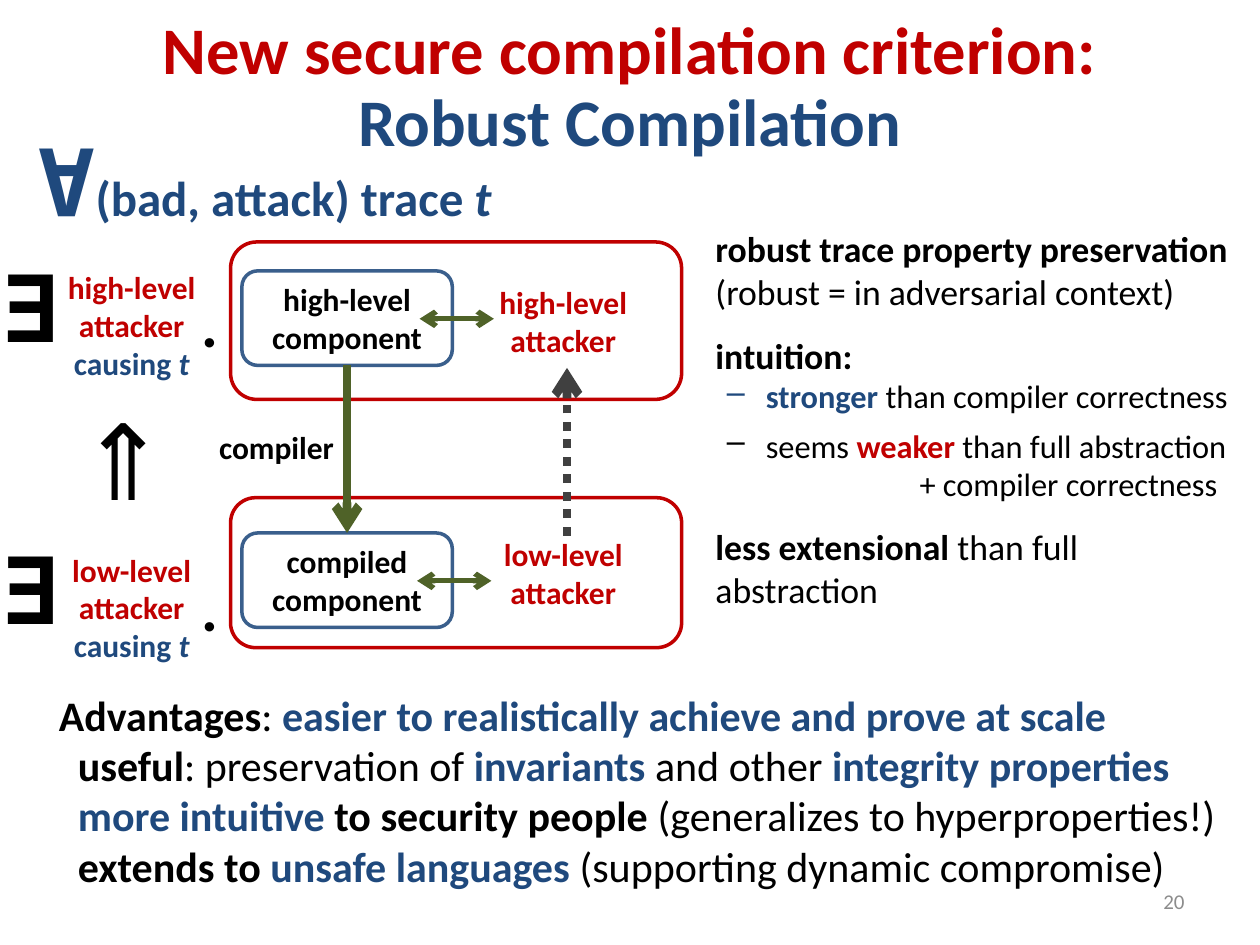
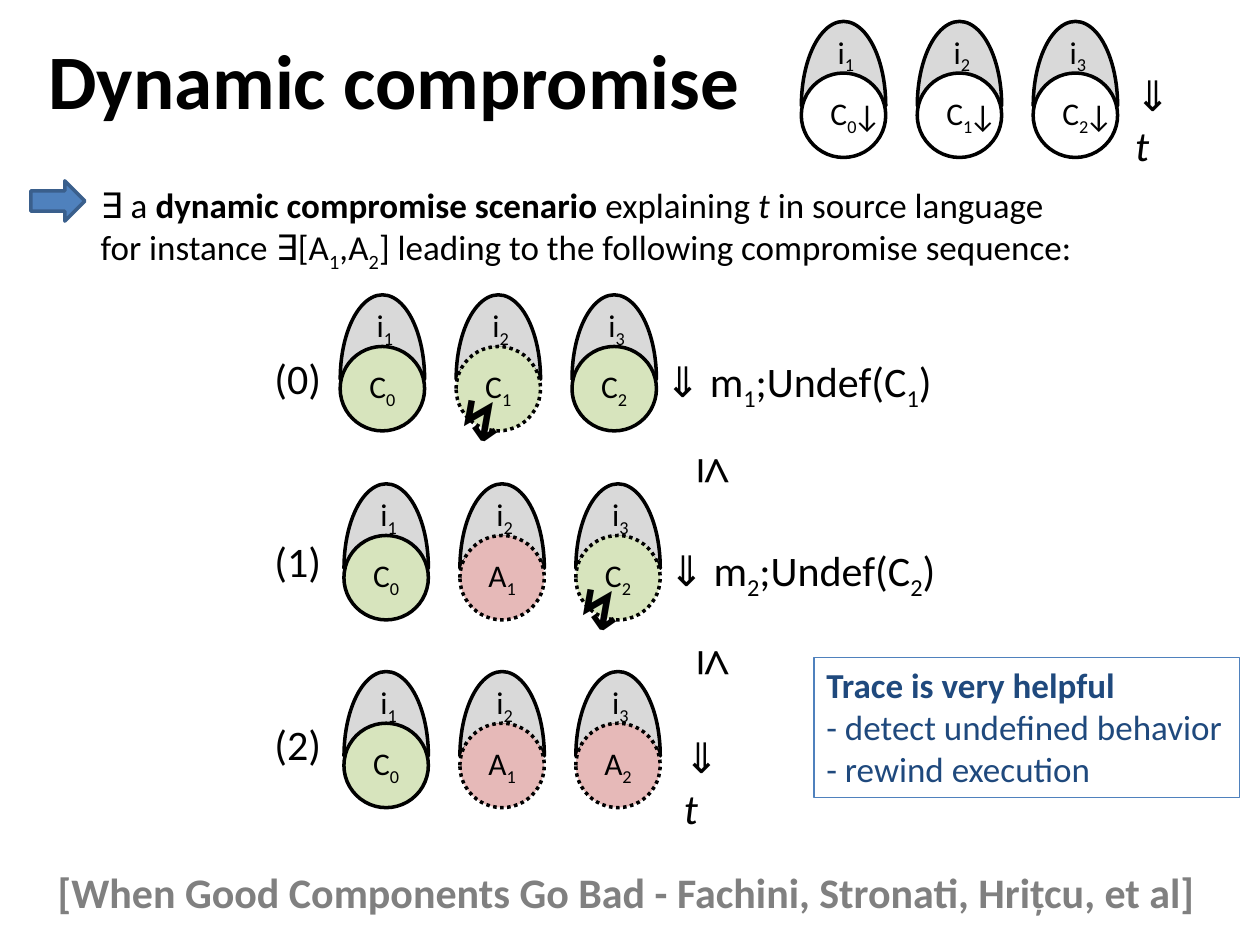
from dataclasses import dataclass

from lxml.etree import SubElement
from pptx import Presentation
from pptx.dml.color import RGBColor
from pptx.enum.dml import MSO_LINE
from pptx.enum.shapes import MSO_CONNECTOR, MSO_SHAPE
from pptx.enum.text import MSO_ANCHOR, MSO_AUTO_SIZE, PP_ALIGN
from pptx.oxml.ns import qn
from pptx.util import Inches, Pt

COLORS = {
    "black": "000000", "white": "FFFFFF", "red": "C00000", "navy": "1F497D",
    "outline": "3A5F8C", "blue": "4F81BD", "olive": "4F6228", "charcoal": "404040",
    "gray": "808080", "number": "8C8C8C", "interface": "D9D9D9",
    "good": "D7E4BD", "compromised": "E6B9B8",
}
FONT = "Calibri"
SYMBOL_FONT = "Noto Sans Mono"
LEFT, CENTER, RIGHT = PP_ALIGN.LEFT, PP_ALIGN.CENTER, PP_ALIGN.RIGHT


@dataclass(frozen=True)
class Box:
    left: float
    top: float
    width: float
    height: float

    def lengths(self):
        return [Inches(v) for v in (self.left, self.top, self.width, self.height)]


@dataclass(frozen=True)
class Run:
    """A piece of text; None takes the format of the whole text."""
    text: str
    color: str | None = None
    bold: bool | None = None
    italic: bool = False
    size: float | None = None
    font: str | None = None
    subscript: bool = False


@dataclass(frozen=True)
class Line:
    runs: tuple
    before: float = 0
    margin: float = 0
    indent: float = 0
    bullet: str | None = None


@dataclass(frozen=True)
class Component:
    letter: str
    index: int
    fill: str
    dotted: bool = False


@dataclass(frozen=True)
class Step:
    """One row of the compromise sequence."""
    left: float
    top: float
    components: tuple
    broken: int | None = None


TRACE = Run("t", italic=True)


def line(*runs: str | Run, **layout) -> Line:
    return Line(tuple(Run(r) if isinstance(r, str) else r for r in runs), **layout)


def indexed(letter: str, index: int) -> tuple[Run, Run]:
    return Run(letter), Run(str(index), subscript=True)


def rgb(name: str) -> RGBColor:
    return RGBColor.from_string(COLORS[name])


def write(shape, *lines: str | Line, size: float = 18, color: str = "black",
          bold: bool = False, font: str = FONT, align=LEFT, anchor=MSO_ANCHOR.TOP,
          wrap: bool = False, grow: bool = False, spacing: float | None = None,
          inset_left: float = 0.1) -> None:
    frame = shape.text_frame
    frame.word_wrap = wrap
    frame.vertical_anchor = anchor
    frame.margin_left = Inches(inset_left)
    frame.auto_size = MSO_AUTO_SIZE.SHAPE_TO_FIT_TEXT if grow else MSO_AUTO_SIZE.NONE
    for number, item in enumerate(lines):
        content = line(item) if isinstance(item, str) else item
        paragraph = frame.paragraphs[0] if number == 0 else frame.add_paragraph()
        paragraph.alignment = align
        paragraph.space_before = Pt(content.before)
        if spacing:
            paragraph.line_spacing = spacing
        properties = paragraph._p.get_or_add_pPr()
        properties.set("marL", str(Inches(content.margin)))
        properties.set("indent", str(Inches(content.indent)))
        if content.bullet:
            SubElement(properties, qn("a:buChar")).set("char", content.bullet)
        for part in content.runs:
            run = paragraph.add_run()
            run.text = part.text
            run.font.size = Pt(part.size or size)
            run.font.bold = bold if part.bold is None else part.bold
            run.font.italic = part.italic
            run.font.color.rgb = rgb(part.color or color)
            run.font.name = part.font or font
            run_properties = run._r.get_or_add_rPr()
            if run.font.name == SYMBOL_FONT:
                SubElement(run_properties, qn("a:ea")).set("typeface", SYMBOL_FONT)
            if part.subscript:
                run_properties.set("baseline", "-25000")


def add_text(shapes, box: Box, *lines: str | Line, rotation: float = 0, **text_format):
    shape = shapes.add_textbox(*box.lengths())
    shape.rotation = rotation
    write(shape, *lines, **{"grow": True, **text_format})
    return shape


def add_title(shapes, box: Box, *lines: str | Line, **text_format) -> None:
    add_text(shapes, box, *lines, bold=True, align=CENTER, anchor=MSO_ANCHOR.MIDDLE,
             wrap=True, grow=False, **text_format)


def add_shape(shapes, kind, box: Box, fill: str | None, outline: str,
              width: float = 2, dotted: bool = False, rotation: float = 0):
    shape = shapes.add_shape(kind, *box.lengths())
    shape.shadow.inherit = False
    shape.rotation = rotation
    if fill:
        shape.fill.solid()
        shape.fill.fore_color.rgb = rgb(fill)
    else:
        shape.fill.background()
    shape.line.color.rgb = rgb(outline)
    shape.line.width = Pt(width)
    if dotted:
        shape.line.dash_style = MSO_LINE.ROUND_DOT
    return shape


def add_arrow(shapes, start: tuple[float, float], end: tuple[float, float],
              color: str, width: float, both: bool = False, dotted: bool = False):
    connector = shapes.add_connector(
        MSO_CONNECTOR.STRAIGHT, *[Inches(v) for v in (*start, *end)])
    connector.line.color.rgb = rgb(color)
    connector.line.width = Pt(width)
    if dotted:
        connector.line.dash_style = MSO_LINE.ROUND_DOT
    properties = connector._element.spPr
    outline = properties.find(qn("a:ln"))
    for tag in ("a:headEnd", "a:tailEnd") if both else ("a:tailEnd",):
        SubElement(outline, qn(tag)).set("type", "arrow")
    SubElement(properties, qn("a:effectLst"))
    return connector


def add_level(shapes, level: str, frame: Box, component_top: float,
              component_lines: tuple[str, str], arrow_left: float):
    """Draw a component linked with its attacker; return the component."""
    middle = MSO_ANCHOR.MIDDLE
    outer = add_shape(shapes, MSO_SHAPE.ROUNDED_RECTANGLE, frame, "white", "red")
    write(outer, f"{level}-level", "attacker", color="red", bold=True,
          align=CENTER, anchor=middle, wrap=True, inset_left=1.8)
    component = add_shape(shapes, MSO_SHAPE.ROUNDED_RECTANGLE,
                          Box(1.92, component_top, 1.67, 0.75), "white", "outline")
    write(component, *component_lines, bold=True, align=CENTER, anchor=middle, wrap=True)
    arrow_top = component_top + 0.38
    add_arrow(shapes, (arrow_left, arrow_top), (arrow_left + 0.59, arrow_top),
              "olive", 3, both=True)
    return component


def add_exists(shapes, level: str, top: float, dot_top: float) -> None:
    add_text(shapes, Box(0.37, top + 0.16, 1.35, 1.01), f"{level}-level", "attacker",
             line(Run("causing ", "navy"), Run("t", "navy", italic=True)),
             color="red", bold=True, align=CENTER, wrap=True)
    add_text(shapes, Box(-0.08, top, 0.66, 1.01), "∃", size=54, bold=True, font=SYMBOL_FONT)
    add_text(shapes, Box(1.5, dot_top, 0.34, 0.71), ".", size=36, bold=True)


def build_robust_compilation(slide) -> None:
    shapes = slide.shapes
    add_title(shapes, Box(0.5, 0.08, 9, 1.25), "New secure compilation criterion:",
              line(Run("Robust Compilation", "navy")), size=38, color="red", spacing=0.9)

    dash = {"margin": 0.4, "indent": -0.31, "bullet": "–"}
    small = 18.5
    add_text(
        shapes, Box(5.58, 1.75, 4.42, 3.42),
        line(Run("robust trace property preservation", bold=True)),
        "(robust = in adversarial context)",
        line(Run("intuition:", bold=True), before=12),
        line(Run("stronger ", "navy", True, size=small),
             Run("than compiler correctness", size=small), **dash),
        line(Run("seems ", size=small), Run("weaker ", "red", True, size=small),
             Run("than full abstraction", size=small), before=6, **dash),
        line(Run("+ compiler correctness", size=small), margin=1.62),
        line(Run("less extensional", bold=True), " than full abstraction", before=12),
        size=20.4, wrap=True, grow=False)
    add_text(shapes, Box(7.17, 6.95, 2.33, 0.4), "20", size=12, color="number",
             align=RIGHT, anchor=MSO_ANCHOR.MIDDLE, wrap=True, grow=False)

    source = add_level(shapes, "high", Box(1.83, 1.92, 3.58, 1.25), 2.15,
                       ("high-level", "component"), 3.33)
    target = add_level(shapes, "low", Box(1.83, 3.95, 3.58, 1.19), 4.23,
                       ("compiled", "component"), 3.31)
    add_exists(shapes, "high", 1.92, 2.21)
    add_exists(shapes, "low", 4.16, 4.46)

    compiler = add_arrow(shapes, (2.75, 2.9), (2.75, 4.23), "olive", 5)
    compiler.begin_connect(source, 2)
    compiler.end_connect(target, 0)
    add_text(shapes, Box(1.63, 3.35, 1.12, 0.4), "compiler", bold=True, align=RIGHT)
    add_arrow(shapes, (4.5, 4.25), (4.5, 2.92), "charcoal", 5, dotted=True)

    add_text(shapes, Box(0.21, 0.92, 3.85, 1.01),
             line(Run("∀", size=54, font=SYMBOL_FONT), "(bad, attack) trace ", TRACE),
             size=28, color="navy", bold=True)

    def strong(text: str, color: str = "black") -> Run:
        return Run(text, color, True)

    add_text(
        shapes, Box(0.37, 5.42, 9.46, 1.72),
        line(strong("Advantages"), ": ",
             strong("easier to realistically achieve and prove at scale", "navy")),
        line(strong("useful"), ": preservation of ", strong("invariants ", "navy"),
             "and other ", strong("integrity properties", "navy"), margin=0.15),
        line(strong("more intuitive ", "navy"), strong("to security people"),
             " (generalizes to hyperproperties!)", margin=0.15),
        line(strong("extends to "), strong("unsafe languages", "navy"),
             " (supporting dynamic compromise)", margin=0.15),
        size=24)
    add_text(shapes, Box(0.45, 3.1, 0.93, 1.11), "⇒", size=60, rotation=270)


PITCH = 0.92
DIAMETER = 0.67


def add_components(shapes, left: float, top: float, components: tuple) -> None:
    """Group a row of components, each below its interface."""
    group = shapes.add_group_shape().shapes
    for position, component in enumerate(components):
        x = left + position * PITCH
        moon = add_shape(group, MSO_SHAPE.MOON, Box(x, top, DIAMETER, DIAMETER),
                         "interface", "black", rotation=90)
        moon.adjustments[0] = 0.632
        add_text(group, Box(x + 0.19, top + 0.04, 0.35, 0.4),
                 line(*indexed("i", position + 1)))
        circle = add_shape(group, MSO_SHAPE.OVAL, Box(x, top + 0.41, DIAMETER, DIAMETER),
                           component.fill, "black", dotted=component.dotted)
        write(circle, line(*indexed(component.letter, component.index)),
              align=CENTER, anchor=MSO_ANCHOR.MIDDLE, wrap=True)


def add_trace_result(shapes, left: float, top: float) -> None:
    add_text(shapes, Box(left, top, 0.59, 0.9), "⇓", line(TRACE), size=24, wrap=True)


def build_dynamic_compromise(slide) -> None:
    shapes = slide.shapes
    add_title(shapes, Box(0.17, 0, 5.92, 1.25), "Dynamic compromise", size=44)
    add_text(shapes, Box(0.36, 6.83, 9.31, 0.5),
             "[When Good Components Go Bad - Fachini, Stronati, Hrițcu, et al]",
             size=24, color="gray", bold=True)

    add_components(shapes, 6.36, 0.17, tuple(Component("C", i, "white") for i in range(3)))
    for position in range(3):
        add_text(shapes, Box(6.67 + position * PITCH, 0.71, 0.43, 0.4), "↓")
    add_trace_result(shapes, 8.91, 0.5)

    add_text(shapes, Box(0.7, 1.41, 7.99, 0.77),
             line("∃ a ", Run("dynamic compromise scenario ", bold=True), "explaining ",
                  Run("t ", italic=True), "in source language"),
             line("for instance ∃[", *indexed("A", 1), *indexed(",A", 2),
                  "] leading to the following compromise sequence:"), size=20)
    add_shape(shapes, MSO_SHAPE.DOWN_ARROW, Box(0.3, 1.38, 0.32, 0.43),
              "blue", "outline", rotation=270)

    intact = Component("C", 0, "good")
    attackers = [Component("A", i, "compromised", True) for i in (1, 2)]
    undefined = [Component("C", i, "good", True) for i in (1, 2)]
    steps = (
        Step(2.7, 2.34, (intact, undefined[0], Component("C", 2, "good")), broken=1),
        Step(2.73, 3.84, (intact, attackers[0], undefined[1]), broken=2),
        Step(2.73, 5.33, (intact, *attackers)),
    )
    for number, step in enumerate(steps):
        add_components(shapes, step.left, step.top, step.components)
        add_text(shapes, Box(2.08, 2.75 + number * 1.45, 0.58, 0.5), f"({number})", size=24)
        if step.broken is None:
            add_trace_result(shapes, step.left + 2.6, step.top + 0.43)
            continue
        add_text(shapes, Box(step.left + 2.48, step.top + 0.43, 2.36, 0.5),
                 line(*indexed("⇓ m", step.broken), *indexed(";Undef(C", step.broken), ")"),
                 size=24)
        add_text(shapes, Box(step.left + step.broken * PITCH - 0.09, step.top + 0.67, 0.46, 0.64),
                 "↯", size=32, bold=True)
        add_text(shapes, Box(5.43, 3.51 + number * 1.52, 0.54, 0.57), "≤",
                 size=28, font=SYMBOL_FONT, rotation=90)

    note = add_shape(shapes, MSO_SHAPE.RECTANGLE, Box(6.46, 5.22, 3.38, 1.11),
                     None, "blue", width=0.75)
    write(note, line(Run("Trace is very helpful", bold=True)),
          "- detect undefined behavior", "- rewind execution",
          size=20, color="navy", grow=True)


def main() -> None:
    presentation = Presentation()
    presentation.slide_width = Inches(10)
    presentation.slide_height = Inches(7.5)
    for build in (build_robust_compilation, build_dynamic_compromise):
        build(presentation.slides.add_slide(presentation.slide_layouts[6]))
    presentation.save("out.pptx")


if __name__ == "__main__":
    main()
